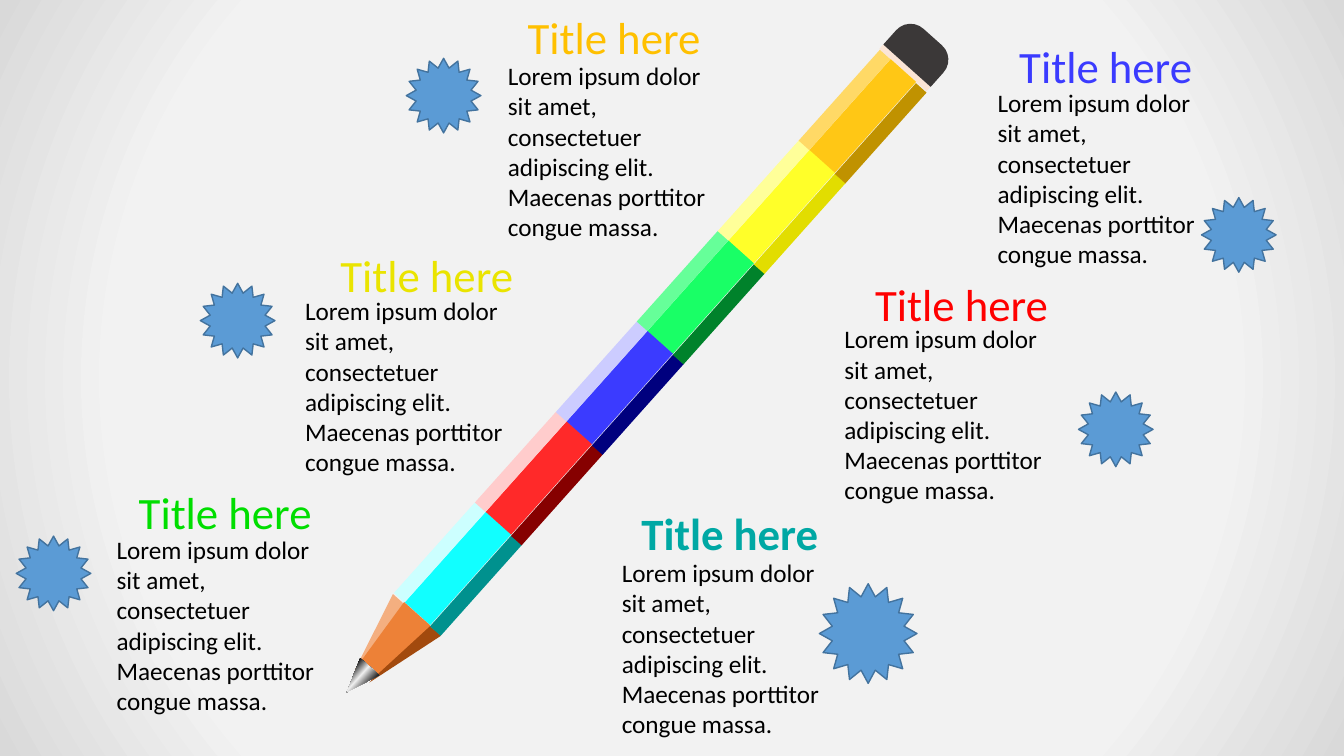
"""Build a pencil infographic with six titled notes and star badges."""
from pptx import Presentation
from pptx import util as u
from pptx.dml.color import RGBColor
from pptx.enum import shapes, text
from pptx.oxml import parse_xml
from pptx.oxml.ns import nsdecls, qn

HUES = {
    "teal": "00A8A4", "red": "FF0000", "blue": "3B3BFF", "green": "00DE00",
    "lemon": "EAE400", "gold": "FFC000", "black": "000000",
    "star": "5B9BD5", "edge": "43739E", "band": "FBE5D6", "cap": "3B3838",
    "wood": "ED8137", "wood lit": "F4AF80", "wood dim": "A24A0E",
    "pale": "F2F2F2", "grey": "D9D9D9",
}
BODY = ("Lorem ipsum dolor sit amet, consectetuer adipiscing elit. "
        "Maecenas porttitor congue massa.")
KIND = shapes.MSO_SHAPE
TURN = 311.8

deck = Presentation()
deck.slide_width, deck.slide_height = u.Cm(33.87), u.Cm(19.05)
slide = deck.slides.add_slide(deck.slide_layouts[6])


def draw(kind, box, hue, turn=0):
    """Add a plain filled shape."""
    shape = slide.shapes.add_shape(kind, *map(u.Cm, box))
    shape.shadow.inherit = False
    shape.fill.solid()
    shape.fill.fore_color.rgb = RGBColor.from_string(hue)
    shape.line.fill.background()
    shape.rotation = turn
    return shape


def shade(fill, root, stops, tail):
    """Give a fill its gradient stops and direction."""
    fill.gradient()
    grad = next(root.iter(qn("a:gradFill")))
    marks = "".join(f'<a:gs pos="{spot * 1000}"><a:srgbClr val="{HUES[name]}"/></a:gs>'
                    for spot, name in stops)
    fresh = parse_xml(f'<a:gradFill {nsdecls("a")} rotWithShape="1">'
                      f"<a:gsLst>{marks}</a:gsLst>{tail}</a:gradFill>")
    grad.getparent().replace(grad, fresh)


shade(slide.background.fill, slide.element, [(72, "pale"), (100, "grey")],
      '<a:path path="circle"><a:fillToRect l="50000" t="50000" r="50000" b="50000"/></a:path>')

notes = [
    ("teal", (15.85, 12.62), (15.42, 13.92)),
    ("red", (21.74, 6.86), (21.03, 8.03)),
    ("blue", (25.37, 0.84), (24.89, 2.08)),
    ("green", (3.18, 12.09), (2.69, 13.34)),
    ("lemon", (8.26, 6.12), (7.44, 7.32)),
    ("gold", (12.98, 0.13), (12.55, 1.4)),
]
for hue, head, body in notes:
    bold = hue == "teal"
    parts = [
        ("Title here", (*head, 5.03 if bold else 4.93, 1.63), hue, False,
         text.PP_ALIGN.RIGHT, {"size": u.Pt(32), "bold": bold}),
        (BODY, (*body, 5.84, 4.88), "black", True,
         text.PP_ALIGN.LEFT, {"size": u.Pt(18), "bold": False}),
    ]
    for words, box, ink, wrap, align, look in parts:
        frame = slide.shapes.add_textbox(*map(u.Cm, box)).text_frame
        frame.word_wrap = wrap
        frame.auto_size = text.MSO_AUTO_SIZE.SHAPE_TO_FIT_TEXT
        para = frame.paragraphs[0]
        para.alignment = align
        run = para.add_run()
        run.text = words
        for key, value in {"name": "Calibri", **look}.items():
            setattr(run.font, key, value)
        run.font.color.rgb = RGBColor.from_string(HUES[ink])

stars = [
    (10.24, 1.47, 1.88, 1.88), (5.05, 7.14, 1.88, 1.88), (0.41, 13.51, 1.88, 1.88),
    (30.28, 4.98, 1.88, 1.88), (27.18, 9.88, 1.88, 1.88), (20.65, 14.71, 2.46, 2.51),
]
for box in stars:
    star = draw(KIND.STAR_16_POINT, box, HUES["star"])
    star.line.color.rgb = RGBColor.from_string(HUES["edge"])
    star.line.width = u.Pt(1)

lit = draw(KIND.RIGHT_TRIANGLE, (8.38, 15.65, 2.08, 0.56), HUES["wood lit"], 131.8)
lit.element.spPr.xfrm.set("flipV", "1")
draw(KIND.RIGHT_TRIANGLE, (9.17, 16.33, 2.08, 0.56), HUES["wood dim"], 131.8)
draw(KIND.RECTANGLE, (22.73, 0.91, 0.15, 1.6), HUES["band"], TURN)

sides = [
    (10.01, 13.89, 0.86, ["11FFFF", "FF2929", "3B3BFF", "19FF66", "FFFF29", "FFC715"]),
    (10.46, 14.58, 0.36, ["00918E", "860000", "00007E", "00822B", "E2DD00", "C09200"]),
    (9.55, 13.74, 0.36, ["CCFFFF", "FFCCCC", "CCCCFF", "66FF99", "FFFF99", "FFD966"]),
]
for left, top, high, tones in sides:
    for step, tone in enumerate(tones):
        box = (left + 2.04 * step, top - 2.28 * step, 3.07, high)
        draw(KIND.RECTANGLE, box, tone, TURN)

cap = draw(KIND.ROUND_2_SAME_RECTANGLE, (22.38, 0.81, 1.6, 0.97), HUES["cap"], 41.8)
cap.adjustments[0], cap.adjustments[1] = 0.5, 0
draw(KIND.FLOWCHART_MANUAL_OPERATION, (9.47, 15.24, 0.89, 1.8), HUES["wood"], 41.8)
tip = draw(KIND.FLOWCHART_MERGE, (8.71, 16.69, 0.64, 0.86), HUES["black"], 41.8)
shade(tip.fill, tip.element, [(27, "black"), (49, "pale"), (75, "black"), (97, "black")],
      '<a:lin ang="0" scaled="1"/>')

deck.save("out.pptx")
